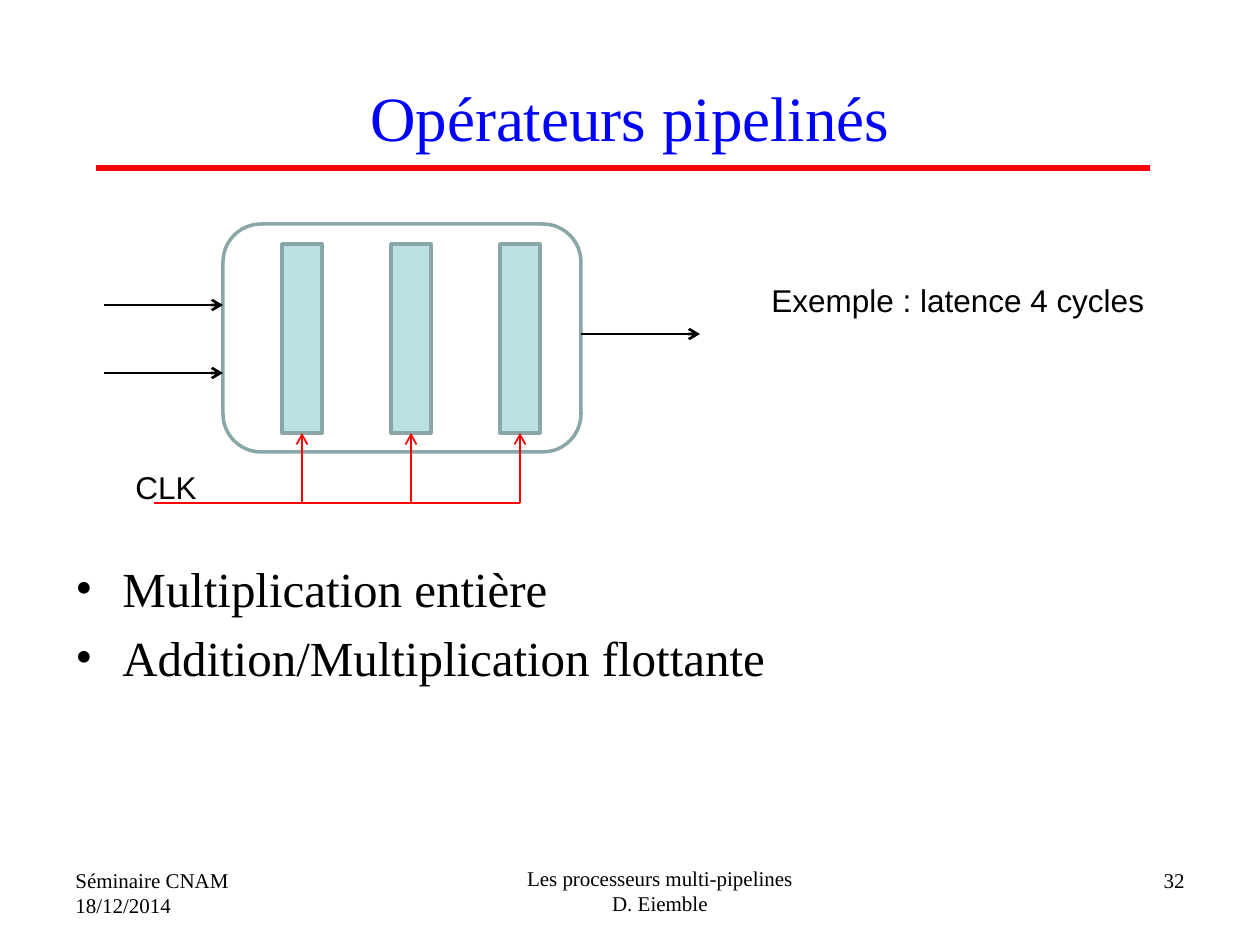
from lxml.etree import SubElement
from pptx import Presentation
from pptx.dml.color import RGBColor
from pptx.enum.shapes import MSO_CONNECTOR as CONN, MSO_SHAPE as SHAPE
from pptx.enum.text import MSO_ANCHOR as ANCHOR, MSO_AUTO_SIZE as AUTO, PP_ALIGN as ALIGN
from pptx.oxml.ns import qn
from pptx.util import Emu, Pt

EMU_PER_PX = 914400 / 126

BLACK = RGBColor(0x00, 0x00, 0x00)
WHITE = RGBColor(0xFF, 0xFF, 0xFF)
RED = RGBColor(0xFF, 0x00, 0x00)
BLUE = RGBColor(0x00, 0x00, 0xFF)
PALE_TEAL = RGBColor(0xBB, 0xE0, 0xE3)
GREY_TEAL = RGBColor(0x8A, 0xA6, 0xA8)

SERIF = "Times New Roman"
SANS = "Arial"


def px(*lengths):
    return [Emu(round(n * EMU_PER_PX)) for n in lengths]


class Deck:
    """Holds the diagram style and the slide being drawn."""

    def __init__(self):
        self.prs = Presentation()
        self.prs.slide_width, self.prs.slide_height = px(1260, 945)
        self.slide = self.prs.slides.add_slide(self.prs.slide_layouts[5])
        self.shapes = self.slide.shapes

    def fill_text(self, tf, lines, size, font, color, align):
        tf.text = "\n".join(lines)
        for p in tf.paragraphs:
            p.alignment = align
            for r in p.runs:
                r.font.size, r.font.name = Pt(size), font
                r.font.color.rgb = color

    def title(self, text, box):
        s = self.shapes.title
        s.left, s.top, s.width, s.height = px(*box)
        s.text_frame.vertical_anchor = ANCHOR.MIDDLE
        self.fill_text(s.text_frame, [text], 36, SERIF, BLUE, ALIGN.CENTER)

    def text(self, lines, box, size=12, font=SERIF, align=ALIGN.LEFT, wrap=True, grow=False):
        tf = self.shapes.add_textbox(*px(*box)).text_frame
        tf.word_wrap = wrap
        tf.auto_size = AUTO.SHAPE_TO_FIT_TEXT if grow else AUTO.NONE
        self.fill_text(tf, lines, size, font, BLACK, align)
        return tf

    def bullets(self, lines, box):
        indent = px(47)[0]
        for p in self.text(lines, box, size=28).paragraphs:
            p.space_before = Pt(6)
            pPr = p._p.get_or_add_pPr()
            pPr.set("marL", str(indent))
            pPr.set("indent", str(-indent))
            SubElement(pPr, qn("a:buFont"), typeface=SERIF)
            SubElement(pPr, qn("a:buChar"), char="•")

    def block(self, kind, box, fill):
        s = self.shapes.add_shape(kind, *px(*box))
        s.shadow.inherit = False
        s.fill.solid()
        s.fill.fore_color.rgb = fill
        s.line.color.rgb, s.line.width = GREY_TEAL, Pt(2)
        return s

    def line(self, start, end, color, width, arrow=False):
        c = self.shapes.add_connector(CONN.STRAIGHT, *px(*start, *end))
        c.line.color.rgb, c.line.width = color, Pt(width)
        if arrow:
            SubElement(c.line._get_or_add_ln(), qn("a:tailEnd"), type="arrow")
        SubElement(c._element.spPr, qn("a:effectLst"))
        return c


def main():
    deck = Deck()
    deck.line((96, 168), (1150, 168), RED, 3.75)
    deck.title("Opérateurs pipelinés", (63, 38, 1134, 157))

    # Operator with its two inputs and its output
    left, right, wire = 223, 581, 119
    deck.block(SHAPE.ROUNDED_RECTANGLE, (left, 224, right - left, 228), WHITE)
    for y in (305, 373):
        deck.line((left - wire, y), (left, y), BLACK, 1.5, arrow=True)
    deck.line((right, 334), (right + wire, 334), BLACK, 1.5, arrow=True)

    # Pipeline registers, each driven by the clock line
    reg_top, reg_w, reg_h, clock_y = 244, 40, 189, 503
    for i in range(3):
        x = 282 + 109 * i
        mid = x + reg_w // 2
        register = deck.block(SHAPE.RECTANGLE, (x, reg_top, reg_w, reg_h), PALE_TEAL)
        tick = deck.line((mid, clock_y), (mid, reg_top + reg_h), RED, 1, arrow=True)
        tick.end_connect(register, 2)
    deck.line((154, clock_y), (mid, clock_y), RED, 1.5)

    deck.text(["CLK"], (123, 462, 87, 50), 18, SANS, grow=True)
    deck.text(["Exemple : latence 4 cycles"], (759, 275, 402, 50), 18, SANS, wrap=False, grow=True)
    deck.bullets(["Multiplication entière", "Addition/Multiplication flottante"], (63, 552, 1134, 292))

    deck.text(["Séminaire CNAM", "18/12/2014"], (63, 861, 294, 66))
    deck.text(["Les processeurs multi-pipelines", "D. Eiemble"], (451, 859, 418, 66), align=ALIGN.CENTER)
    deck.text(["32"], (903, 861, 294, 66), align=ALIGN.RIGHT)

    deck.prs.save("out.pptx")


if __name__ == "__main__":
    main()
